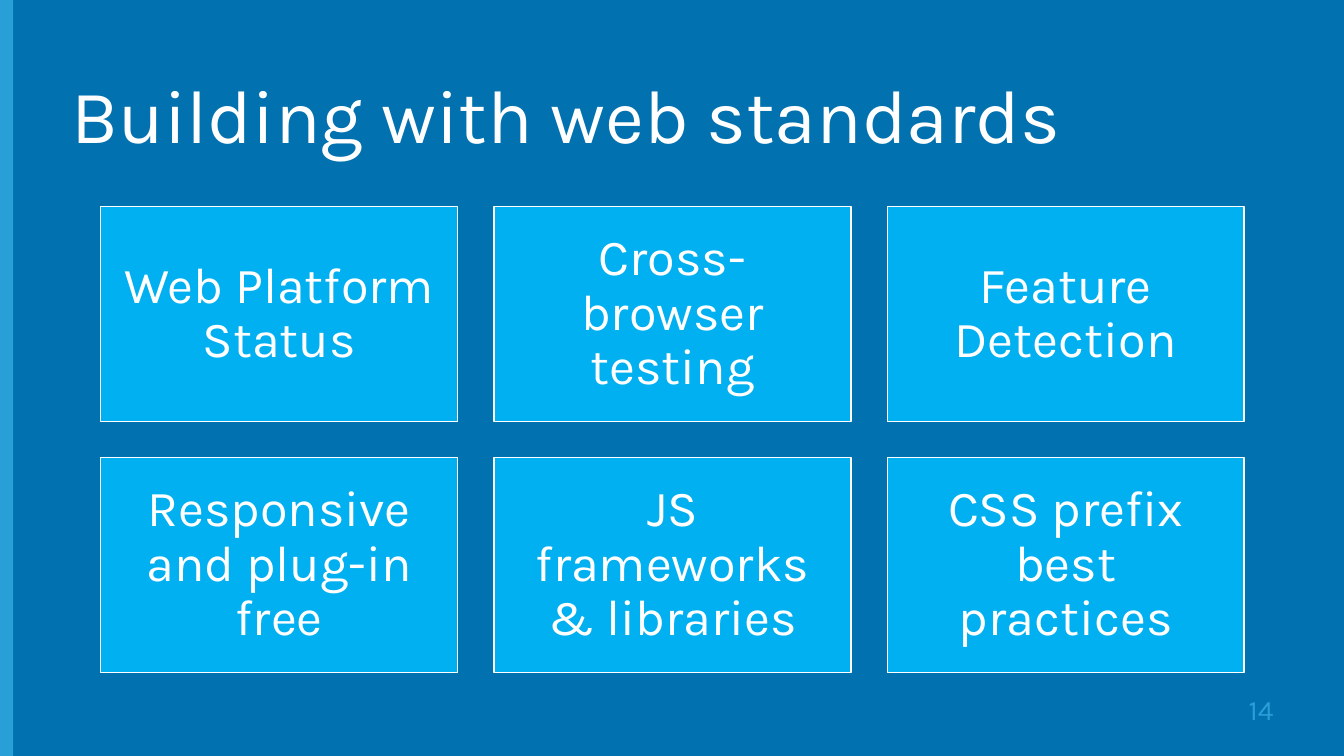
"""Build the slide "Building with web standards": a title over a grid of six topic tiles."""
from pptx import Presentation
from pptx.dml.color import RGBColor
from pptx.enum.shapes import MSO_SHAPE as Shape
from pptx.enum.text import MSO_ANCHOR as Anchor, PP_ALIGN as Align
from pptx.util import Inches, Pt

BACKGROUND = RGBColor(0x01, 0x71, 0xB0)
ACCENT = RGBColor(0x28, 0x9F, 0xD7)
TILE = RGBColor(0x00, 0xB0, 0xF0)
WHITE = RGBColor(0xFF, 0xFF, 0xFF)

COLUMNS = 3
GRID_LEFT, GRID_TOP = 1, 2.05
TILE_WIDTH, TILE_HEIGHT = 3.54, 2.13
GAP = 0.36
TOPICS = [
    "Web Platform Status", "Cross-browser testing", "Feature Detection",
    "Responsive and plug-in free", "JS frameworks & libraries", "CSS prefix best practices",
]


def add_rectangle(left, top, width, height, color):
    box = page.shapes.add_shape(
        Shape.RECTANGLE, Inches(left), Inches(top), Inches(width), Inches(height))
    box.shadow.inherit = False
    box.fill.solid()
    box.fill.fore_color.rgb = color
    box.line.fill.background()
    return box


def write(box, text, size, color, align, line_spacing):
    frame = box.text_frame
    frame.word_wrap = True
    frame.vertical_anchor = Anchor.MIDDLE
    frame.text = text
    para = frame.paragraphs[0]
    para.alignment = align
    para.line_spacing = line_spacing
    span = para.runs[0]
    span.font.name = "Karla"
    span.font.size = Pt(size)
    span.font.color.rgb = color


deck = Presentation()
deck.slide_width, deck.slide_height = Inches(13.33), Inches(7.5)
page = deck.slides.add_slide(deck.slide_layouts[6])
page.background.fill.solid()
page.background.fill.fore_color.rgb = BACKGROUND

add_rectangle(0, 0, 0.13, 7.5, ACCENT)

title = page.shapes.add_textbox(Inches(0.61), Inches(0.46), Inches(12.12), Inches(1.45))
write(title, "Building with web standards", 54, WHITE, Align.LEFT, 0.9)

for index, topic in enumerate(TOPICS):
    row, column = divmod(index, COLUMNS)
    tile = add_rectangle(
        GRID_LEFT + column * (TILE_WIDTH + GAP), GRID_TOP + row * (TILE_HEIGHT + GAP),
        TILE_WIDTH, TILE_HEIGHT, TILE)
    tile.line.color.rgb = WHITE
    tile.line.width = Pt(1)
    frame = tile.text_frame
    frame.margin_left = frame.margin_right = Inches(0.15)
    frame.margin_top = frame.margin_bottom = Inches(0.15)
    write(tile, topic, 36, WHITE, Align.CENTER, 0.9)

number = page.shapes.add_textbox(Inches(9.73), Inches(6.84), Inches(3), Inches(0.4))
write(number, "14", 20, ACCENT, Align.RIGHT, 1.0)

deck.save("out.pptx")
